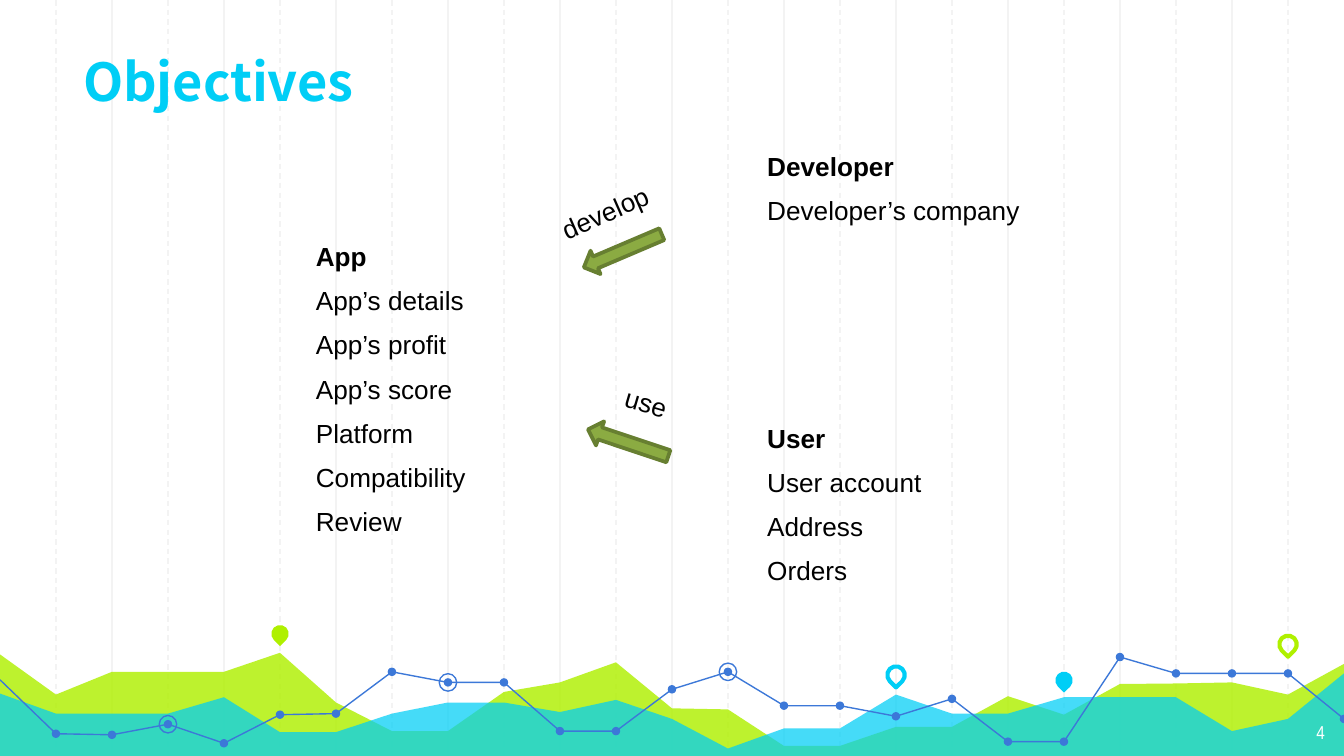
from dataclasses import dataclass
from typing import Optional, Sequence

from lxml.etree import SubElement
from pptx import Presentation
from pptx.dml.color import RGBColor
from pptx.enum.dml import MSO_LINE
from pptx.enum.shapes import MSO_CONNECTOR as Connector, MSO_SHAPE as Shape
from pptx.enum.text import MSO_ANCHOR as Anchor, PP_ALIGN as Align
from pptx.oxml.ns import qn
from pptx.util import Cm, Pt


@dataclass(frozen=True)
class Theme:
    cyan: str = "00CEF6"
    lime: str = "AFF000"
    blue: str = "3C78D8"
    grid: str = "F3F3F3"
    arrow: str = "8BAB42"
    arrow_edge: str = "677F31"
    black: str = "000000"
    white: str = "FFFFFF"
    body_font: str = "Arial"
    title_font: str = "Noto Sans CJK SC"
    number_font: str = "Arial Narrow"
    body_size: float = 14
    title_size: float = 28
    number_size: float = 10
    thin: float = 0.75
    arrow_line: float = 2
    pin_line: float = 2.25


@dataclass(frozen=True)
class Area:
    color: str
    opacity: int
    heights: Sequence[float]


@dataclass(frozen=True)
class Pin:
    column: int
    y: float
    color: str
    solid: bool


@dataclass(frozen=True)
class Arrow:
    left: float
    top: float
    rotation: float


@dataclass(frozen=True)
class Text:
    left: float
    top: float
    width: float
    height: float
    lines: Sequence[str]
    heading: bool = False
    rotation: float = 0
    font: str = "Arial"
    size: float = 14
    color: str = "000000"
    align: Align = Align.LEFT
    anchor: Anchor = Anchor.TOP
    line_spacing: float = 1.0


THEME = Theme()
WIDTH, HEIGHT = 25.4, 14.29
COLUMNS = 24
STEP = WIDTH / COLUMNS
DOT, MARKER = 0.16, 0.33

AREAS = [
    Area(THEME.lime, 82, [
        12.37, 13.13, 12.7, 12.7, 12.7, 12.34, 13.28, 13.82, 13.82, 13.08, 12.9, 12.52, 13.39,
        13.41, 14.1, 14.1, 13.74, 13.74, 13.16, 13.51, 12.93, 12.92, 12.9, 13.13, 12.55]),
    Area(THEME.cyan, 73, [
        13.11, 13.49, 13.49, 13.49, 13.18, 13.84, 13.84, 13.49, 13.28, 13.28, 13.46, 13.23, 13.59,
        14.15, 13.77, 13.77, 13.13, 13.49, 13.49, 13.18, 13.18, 13.18, 13.82, 13.59, 12.73]),
]
TREND = [
    12.85, 13.87, 13.89, 13.69, 14.05, 13.51, 13.49, 12.7, 12.9, 12.9, 13.82, 13.82, 13.03,
    12.7, 13.34, 13.34, 13.54, 13.21, 14.02, 14.02, 12.42, 12.73, 12.73, 12.73, 13.59]
TREND_SECTIONS = [(0, 11), (11, 20), (20, 24)]
RINGED_COLUMNS = [8, 3, 13]
PINS = [
    Pin(5, 11.98, THEME.lime, True),
    Pin(16, 12.76, THEME.cyan, False),
    Pin(19, 12.86, THEME.cyan, True),
    Pin(23, 12.18, THEME.lime, False),
]
ARROWS = [Arrow(10.97, 4.5, 156.9), Arrow(11.07, 8.13, 198.5)]
TEXTS = [
    Text(23.77, 13.41, 1.52, 0.89, ["4"], font=THEME.number_font, size=THEME.number_size,
         color=THEME.white, align=Align.RIGHT),
    Text(5.72, 4.27, 3.91, 6.55, ["App", "App’s details", "App’s profit", "App’s score",
         "Platform", "Compatibility", "Review"], heading=True, line_spacing=1.05),
    Text(14.25, 2.57, 5.44, 2.34, ["Developer", "Developer’s company"],
         heading=True, line_spacing=1.05),
    Text(14.25, 7.7, 3.91, 4.09, ["User", "User account", "Address", "Orders"],
         heading=True, line_spacing=1.05),
    Text(1.07, 0.99, 6.12, 1.37, ["Objectives"], heading=True, font=THEME.title_font,
         size=THEME.title_size, color=THEME.cyan, align=Align.CENTER, anchor=Anchor.BOTTOM),
    Text(10.29, 3.45, 2.31, 0.99, ["develop"], rotation=336.3),
    Text(11.56, 7.21, 2.31, 0.99, ["use"], rotation=16.4),
]


def rgb(color: str) -> RGBColor:
    return RGBColor.from_string(color)


def style(shape, fill: Optional[str] = None, line: Optional[str] = None,
          width: float = THEME.thin) -> None:
    shape.shadow.inherit = False
    if fill:
        shape.fill.solid()
        shape.fill.fore_color.rgb = rgb(fill)
    else:
        shape.fill.background()
    if line:
        shape.line.color.rgb = rgb(line)
        shape.line.width = Pt(width)
    else:
        shape.line.fill.background()


def add_grid_line(slide, column: int) -> None:
    x = Cm(column * STEP)
    connector = slide.shapes.add_connector(Connector.STRAIGHT, x, 0, x, Cm(HEIGHT))
    connector.line.color.rgb = rgb(THEME.grid)
    connector.line.width = Pt(THEME.thin)
    if column % 2:
        connector.line.dash_style = MSO_LINE.DASH
    SubElement(connector._element.spPr, qn("a:effectLst"))


def add_path(slide, points: Sequence[tuple[float, float]], close: bool):
    vertices = [(Cm(x), Cm(y)) for x, y in points]
    builder = slide.shapes.build_freeform(*vertices[0])
    builder.add_line_segments(vertices[1:], close=close)
    return builder.convert_to_shape()


def add_area(slide, area: Area) -> None:
    points = [(column * STEP, y) for column, y in enumerate(area.heights)]
    shape = add_path(slide, points + [(WIDTH, HEIGHT), (0, HEIGHT)], close=True)
    style(shape, fill=area.color)
    color = shape._element.spPr.find(qn("a:solidFill"))[0]
    SubElement(color, qn("a:alpha")).set("val", str(area.opacity * 1000))


def add_marker(slide, kind: Shape, column: int, y: float, size: float):
    """Centre a round marker on a grid column."""
    return slide.shapes.add_shape(
        kind, Cm(column * STEP - size / 2), Cm(y - size / 2), Cm(size), Cm(size))


def add_pin(slide, pin: Pin) -> None:
    shape = add_marker(slide, Shape.TEAR, pin.column, pin.y, MARKER)
    shape.rotation = 135
    if pin.solid:
        style(shape, fill=pin.color)
    else:
        style(shape, line=pin.color, width=THEME.pin_line)


def add_trend(slide) -> None:
    for first, last in TREND_SECTIONS:
        points = [(column * STEP, TREND[column]) for column in range(first, last + 1)]
        style(add_path(slide, points, close=False), line=THEME.blue)
    for column in range(1, COLUMNS + 1):
        style(add_marker(slide, Shape.OVAL, column, TREND[column], DOT), fill=THEME.blue)
    for column in RINGED_COLUMNS:
        style(add_marker(slide, Shape.OVAL, column, TREND[column], MARKER), line=THEME.blue)


def add_arrow(slide, arrow: Arrow) -> None:
    shape = slide.shapes.add_shape(
        Shape.RIGHT_ARROW, Cm(arrow.left), Cm(arrow.top), Cm(1.6), Cm(0.48))
    shape.rotation = arrow.rotation
    style(shape, THEME.arrow, THEME.arrow_edge, THEME.arrow_line)


def add_text(slide, text: Text) -> None:
    box = slide.shapes.add_textbox(
        Cm(text.left), Cm(text.top), Cm(text.width), Cm(text.height))
    box.rotation = text.rotation
    frame = box.text_frame
    frame.word_wrap = True
    frame.vertical_anchor = text.anchor
    frame.margin_left = frame.margin_right = frame.margin_top = frame.margin_bottom = Cm(0.25)
    frame.text = "\n".join(text.lines)
    for index, paragraph in enumerate(frame.paragraphs):
        paragraph.alignment = text.align
        paragraph.line_spacing = text.line_spacing
        paragraph.space_before = Pt(6 if index else 0)
        font = paragraph.runs[0].font
        font.name, font.size = text.font, Pt(text.size)
        font.color.rgb = rgb(text.color)
        font.bold = text.heading and index == 0


def main() -> None:
    presentation = Presentation()
    presentation.slide_width, presentation.slide_height = Cm(WIDTH), Cm(HEIGHT)
    slide = presentation.slides.add_slide(presentation.slide_layouts[6])
    for column in [*range(2, COLUMNS, 2), *range(1, COLUMNS, 2)]:
        add_grid_line(slide, column)
    for area in AREAS:
        add_area(slide, area)
    add_trend(slide)
    for pin in PINS:
        add_pin(slide, pin)
    for arrow in ARROWS:
        add_arrow(slide, arrow)
    for text in TEXTS:
        add_text(slide, text)
    presentation.save("out.pptx")


if __name__ == "__main__":
    main()
